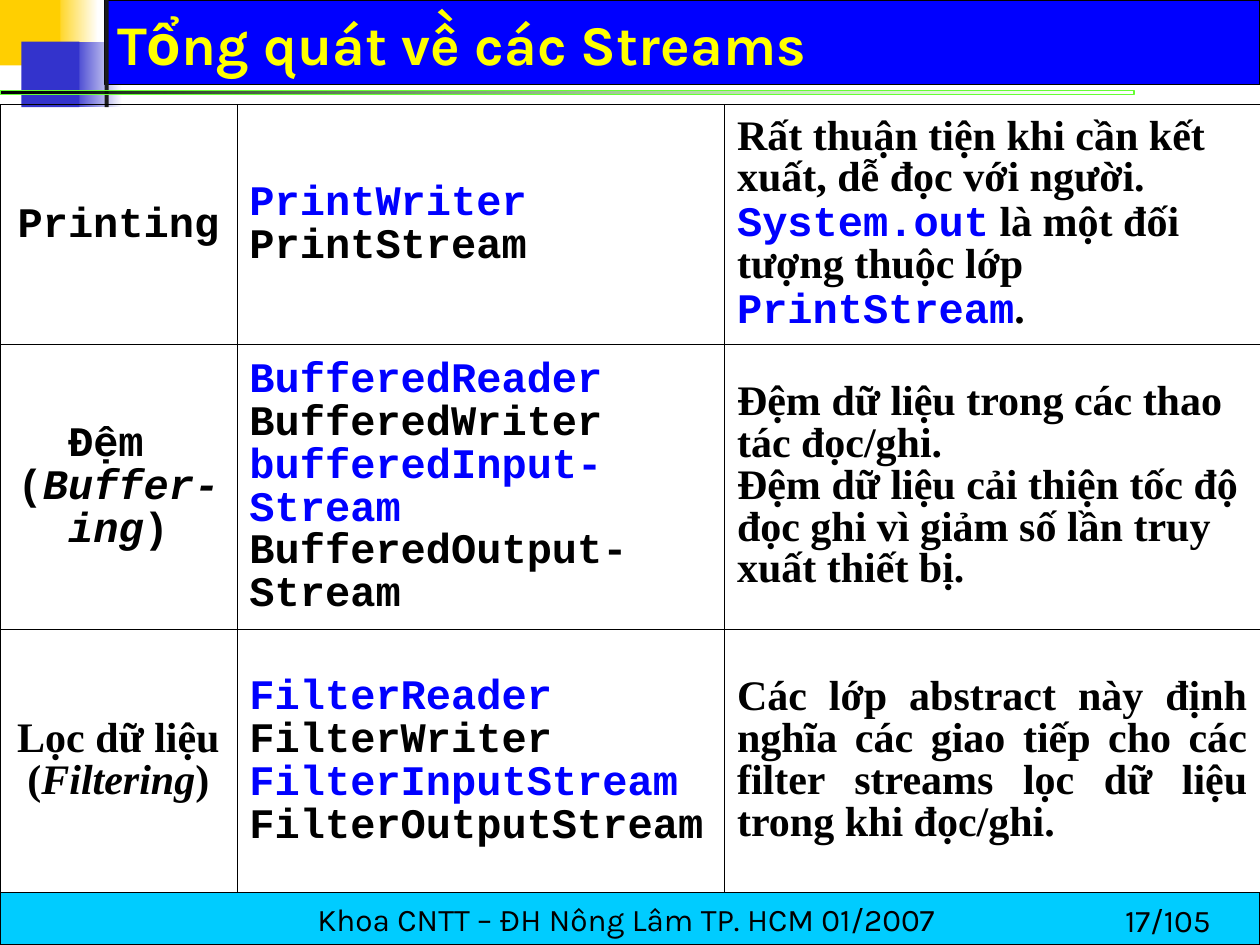
from dataclasses import dataclass

from lxml import etree
from pptx import Presentation
from pptx.dml.color import RGBColor
from pptx.enum.shapes import MSO_SHAPE
from pptx.enum.text import MSO_ANCHOR, PP_ALIGN
from pptx.oxml.ns import qn
from pptx.util import Cm, Pt

RECT = MSO_SHAPE.RECTANGLE
MIDDLE, BOTTOM = MSO_ANCHOR.MIDDLE, MSO_ANCHOR.BOTTOM
LEFT, CENTER, JUSTIFY = PP_ALIGN.LEFT, PP_ALIGN.CENTER, PP_ALIGN.JUSTIFY


@dataclass(frozen=True)
class Theme:
    black: str = "000000"
    white: str = "FFFFFF"
    blue: str = "0000FF"
    yellow: str = "FFFF00"
    gold: str = "FFCF01"
    indigo: str = "3333CC"
    charcoal: str = "1C1C1C"
    green: str = "66FF33"
    cyan: str = "00CCFF"
    sans: str = "Karla"
    serif: str = "Times New Roman"
    mono: str = "Courier New"
    title_size: int = 32
    body_size: int = 24
    footer_size: int = 18


THEME = Theme()
BREAK = None


def code(text, color=THEME.black, italic=False):
    return text, THEME.mono, color, italic


def keyword(text):
    return code(text, THEME.blue)


def prose(text, italic=False):
    return text, THEME.serif, THEME.black, italic


def code_pair(first, second):
    """A highlighted class name above a plain one."""
    return [keyword(first), BREAK, code(second)]


# Each cell: alignment, then paragraphs made of runs.
STREAM_ROWS = [
    [
        (CENTER, [[code("Printing")]]),
        (LEFT, [[keyword("PrintWriter")], [code("PrintStream")]]),
        (LEFT, [[prose("Rất thuận tiện khi cần kết xuất, dễ đọc với người. "),
                 keyword("System.out"), prose(" là một đối tượng thuộc lớp "),
                 keyword("PrintStream"), prose(".")]]),
    ],
    [
        (CENTER, [[code("Đệm ")],
                  [code("("), code("Buffer-ing", italic=True), code(")")]]),
        (LEFT, [code_pair("BufferedReader", "BufferedWriter"),
                code_pair("bufferedInput-Stream", "BufferedOutput-Stream")]),
        (LEFT, [[prose("Đệm dữ liệu trong các thao tác đọc/ghi.")],
                [prose("Đệm dữ liệu cải thiện tốc độ đọc ghi vì giảm "
                       "số lần truy xuất thiết bị.")]]),
    ],
    [
        (CENTER, [[prose("Lọc dữ liệu ("), prose("Filtering", italic=True),
                   prose(")")]]),
        (LEFT, [code_pair("FilterReader", "FilterWriter"),
                code_pair("FilterInputStream", "FilterOutputStream")]),
        (JUSTIFY, [[prose("Các lớp abstract này định nghĩa các giao tiếp cho "
                          "các filter streams lọc dữ liệu trong khi "
                          "đọc/ghi.")]]),
    ],
]


def rgb(color):
    return RGBColor.from_string(color)


def add_run(paragraph, text, font, size, color, bold=False, italic=False):
    run = paragraph.add_run()
    run.text = text
    run.font.name, run.font.size = font, Pt(size)
    run.font.bold, run.font.italic = bold, italic
    run.font.color.rgb = rgb(color)


def add_bar(slide, box, color, fade_to=None, outline=None, width=0.75):
    """A rectangle, solid or fading from color at left to fade_to at right."""
    bar = slide.shapes.add_shape(RECT, *map(Cm, box))
    bar.shadow.inherit = False
    if fade_to:
        bar.fill.gradient()
        bar.fill.gradient_angle = 180
        for stop, shade in zip(bar.fill.gradient_stops, (fade_to, color)):
            stop.color.rgb = rgb(shade)
    else:
        bar.fill.solid()
        bar.fill.fore_color.rgb = rgb(color)
    if outline:
        bar.line.color.rgb = rgb(outline)
        bar.line.width = Pt(width)
    else:
        bar.line.fill.background()
    return bar


def add_header(slide, left, top, width, title):
    banner_left = left + 2.11
    banner_width = width - 2.11
    add_bar(slide, (left + 1.07, top, 0.91, 1.32), THEME.gold, THEME.white)
    add_bar(slide, (left + 1.45, top + 0.84, 1.02, 1.32), THEME.indigo, THEME.white)
    add_bar(slide, (banner_left, top, banner_width, 1.7), THEME.blue,
            outline=THEME.black)
    add_bar(slide, (left, top, 1.22, 1.32), THEME.gold)
    add_bar(slide, (left + 0.43, top + 0.84, 1.17, 1.32), THEME.indigo)
    add_bar(slide, (banner_left, top, 0.08, 2.16), THEME.charcoal)
    rule = add_bar(slide, (left, top + 1.83, 0.9 * width, 0.08), THEME.black,
                   THEME.green, THEME.green, 0)
    clear_end = next(rule.fill._xPr.iter(qn("a:srgbClr")))
    etree.SubElement(clear_end, qn("a:alpha"), val="0")

    heading = slide.shapes.add_textbox(
        *map(Cm, (banner_left, top + 0.2, banner_width - 0.58, 1.47))).text_frame
    heading.word_wrap = True
    heading.vertical_anchor = BOTTOM
    add_run(heading.paragraphs[0], title, THEME.sans, THEME.title_size,
            THEME.yellow, bold=True)


def add_footer(slide, left, top, width, height, credit, page):
    strip = add_bar(slide, (left, top, width, height), THEME.cyan,
                    outline=THEME.black).text_frame
    strip.word_wrap = False
    strip.vertical_anchor = MIDDLE
    strip.paragraphs[0].alignment = CENTER
    add_run(strip.paragraphs[0], credit, THEME.sans, THEME.footer_size, THEME.black)

    number = slide.shapes.add_textbox(
        *map(Cm, (left + width - 2.97, top + 0.05, 2.97, 1.88))).text_frame
    number.word_wrap = True
    number.paragraphs[0].space_before = Pt(11.2)
    add_run(number.paragraphs[0], page, THEME.sans, THEME.footer_size, THEME.black)


def add_borders(cell):
    properties = cell._tc.get_or_add_tcPr()
    for side in ("lnL", "lnR", "lnT", "lnB"):
        line = etree.SubElement(properties, qn(f"a:{side}"), w=str(Pt(0.45)))
        fill = etree.SubElement(line, qn("a:solidFill"))
        etree.SubElement(fill, qn("a:srgbClr"), val=THEME.black)


def fill_cell(cell, alignment, paragraphs):
    add_borders(cell)
    cell.fill.background()
    cell.vertical_anchor = MIDDLE
    for index, runs in enumerate(paragraphs):
        frame = cell.text_frame
        paragraph = frame.add_paragraph() if index else frame.paragraphs[0]
        paragraph.alignment = alignment
        paragraph.line_spacing = 0.9
        for part in runs:
            if part is BREAK:
                paragraph.add_line_break()
                continue
            text, font, color, italic = part
            add_run(paragraph, text, font, THEME.body_size, color, True, italic)


def add_stream_table(slide, left, top, width, height, rows):
    column_shares = (0.188, 0.387, 0.425)
    row_shares = (0.304, 0.362, 0.334)
    table = slide.shapes.add_table(len(rows), len(column_shares),
                                   *map(Cm, (left, top, width, height))).table
    table.first_row = table.horz_banding = False
    for column, share in zip(table.columns, column_shares):
        column.width = Cm(width * share)
    for row, share, contents in zip(table.rows, row_shares, rows):
        row.height = Cm(height * share)
        for cell, (alignment, paragraphs) in zip(row.cells, contents):
            fill_cell(cell, alignment, paragraphs)


def main():
    width, height = 25.4, 19.05
    table_top, footer_top = 2.11, 17.99
    deck = Presentation()
    deck.slide_width, deck.slide_height = Cm(width), Cm(height)
    slide = deck.slides.add_slide(deck.slide_layouts[6])
    add_header(slide, 0, 0, width, "Tổng quát về các Streams")
    add_footer(slide, 0, footer_top, width, height - footer_top,
               "Khoa CNTT – ĐH Nông Lâm TP. HCM 01/2007 ", "17/105")
    add_stream_table(slide, 0, table_top, width, footer_top - table_top, STREAM_ROWS)
    deck.save("out.pptx")


if __name__ == "__main__":
    main()
